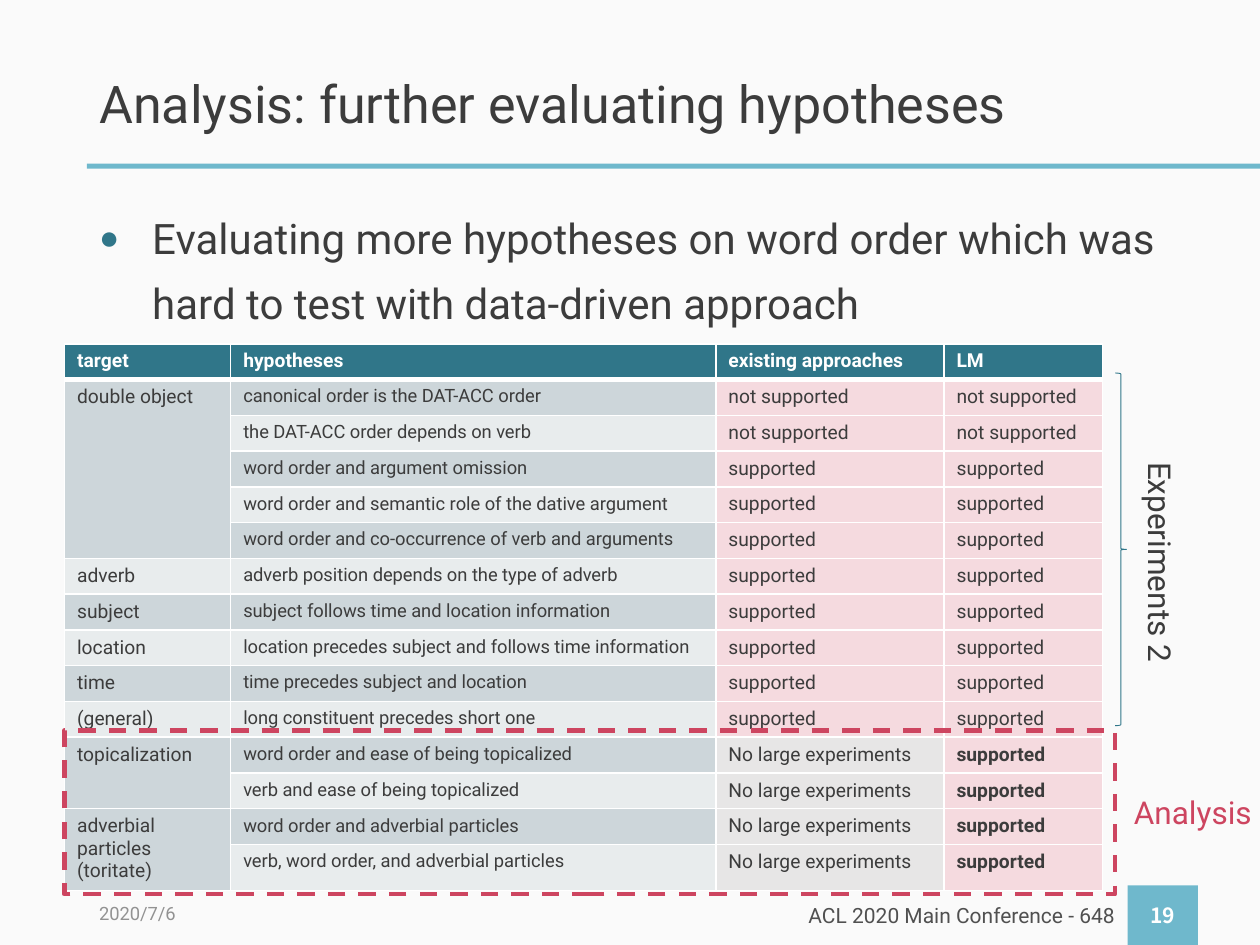
from lxml.etree import SubElement
from pptx import Presentation
from pptx.dml.color import RGBColor
from pptx.enum.dml import MSO_LINE
from pptx.enum.shapes import MSO_SHAPE
from pptx.enum.text import MSO_ANCHOR, MSO_AUTO_SIZE, PP_ALIGN
from pptx.oxml import parse_xml
from pptx.oxml.ns import nsdecls, qn
from pptx.util import Cm, Pt

INK, TEAL, SKY, RED, WHITE = "3C3C3C", "307689", "6FB8CC", "CD4560", "FFFFFF"
BANDS = ("E8ECED", "CDD6DA")
PINK, GREY = "F5DADF", "E7E6E6"

TITLE = "Analysis: further evaluating hypotheses"
BULLET = ("Evaluating more hypotheses on word order which was "
          "hard to test with data-driven approach")
HEADER = ("target", "hypotheses", "existing approaches", "LM")
NO, YES, UNTESTED = "not supported", "supported", "No large experiments"
# target, [(hypothesis, existing approaches, LM)]
TARGETS = [
    ("double object", [
        ("canonical order is the DAT-ACC order", NO, NO),
        ("the DAT-ACC order depends on verb", NO, NO),
        ("word order and argument omission", YES, YES),
        ("word order and semantic role of the dative argument", YES, YES),
        ("word order and co-occurrence of verb and arguments", YES, YES)]),
    ("adverb", [("adverb position depends on the type of adverb", YES, YES)]),
    ("subject", [("subject follows time and location information", YES, YES)]),
    ("location", [("location precedes subject and follows time information", YES, YES)]),
    ("time", [("time precedes subject and location", YES, YES)]),
    ("(general)", [("long constituent precedes short one", YES, YES)]),
    ("topicalization", [
        ("word order and ease of being topicalized", UNTESTED, YES),
        ("verb and ease of being topicalized", UNTESTED, YES)]),
    ("adverbial particles (toritate)", [
        ("word order and adverbial particles", UNTESTED, YES),
        ("verb, word order, and adverbial particles", UNTESTED, YES)]),
]
COLUMN_WIDTHS = (3.35, 9.78, 4.6, 3.2)
ROW_HEIGHT, LAST_ROW_HEIGHT = 0.72, 0.88


def rgb(color):
    return RGBColor.from_string(color)


def write(frame, text, size, color=INK, bold=False, font="Roboto",
          align=PP_ALIGN.LEFT, anchor=MSO_ANCHOR.MIDDLE, wrap=True,
          spacing=None, before=None):
    frame.word_wrap = wrap
    if not wrap:
        frame.auto_size = MSO_AUTO_SIZE.SHAPE_TO_FIT_TEXT
    frame.vertical_anchor = anchor
    paragraph = frame.paragraphs[0]
    paragraph.alignment = align
    paragraph.line_spacing = spacing
    if before is not None:
        paragraph.space_before = Pt(before)
    run = paragraph.add_run()
    run.text = text
    run.font.size, run.font.bold, run.font.name = Pt(size), bold, font
    run.font.color.rgb = rgb(color)
    for tag in ("a:ea", "a:cs"):
        SubElement(run.font._element, qn(tag), typeface=font)
    return paragraph


def add_text(slide, box, text, size, rotation=0, **fmt):
    label = slide.shapes.add_textbox(*map(Cm, box))
    label.rotation = rotation
    return write(label.text_frame, text, size, **fmt)


def add_shape(slide, kind, box, fill=None, line=None, width=1):
    shape = slide.shapes.add_shape(kind, *map(Cm, box))
    shape.shadow.inherit = False
    if fill:
        shape.fill.solid()
        shape.fill.fore_color.rgb = rgb(fill)
    else:
        shape.fill.background()
    if line:
        shape.line.color.rgb = rgb(line)
        shape.line.width = Pt(width)
    else:
        shape.line.fill.background()
    return shape


def add_bullet(paragraph, char, color, percent, indent):
    properties = paragraph._p.get_or_add_pPr()
    properties.set("marL", str(Cm(indent)))
    properties.set("indent", str(-Cm(indent)))
    bullet_color = SubElement(properties, qn("a:buClr"))
    SubElement(bullet_color, qn("a:srgbClr"), val=color)
    SubElement(properties, qn("a:buSzPct"), val=str(percent * 1000))
    SubElement(properties, qn("a:buFont"), typeface="Arial")
    SubElement(properties, qn("a:buChar"), char=char)


def style_cell(cell, fill, top=1, bottom=1):
    cell.fill.solid()
    cell.fill.fore_color.rgb = rgb(fill)
    properties = cell._tc.get_or_add_tcPr()
    sides = (("L", 1), ("R", 1), ("T", top), ("B", bottom))
    for place, (side, width) in enumerate(sides):
        properties.insert(place, parse_xml(
            f'<a:ln{side} {nsdecls("a")} w="{Pt(width)}"><a:solidFill>'
            f'<a:srgbClr val="{WHITE}"/></a:solidFill></a:ln{side}>'))


def add_hypotheses(slide, left, top):
    count = 1 + sum(len(hypotheses) for _, hypotheses in TARGETS)
    height = ROW_HEIGHT * (count - 1) + LAST_ROW_HEIGHT
    table = slide.shapes.add_table(
        count, len(HEADER), Cm(left), Cm(top),
        Cm(sum(COLUMN_WIDTHS)), Cm(height)).table
    for column, width in zip(table.columns, COLUMN_WIDTHS):
        column.width = Cm(width)
    for row in table.rows:
        row.height = Cm(ROW_HEIGHT)
    table.rows[count - 1].height = Cm(LAST_ROW_HEIGHT)

    def fill_cell(row, column, text, size=11, **fmt):
        write(table.cell(row, column).text_frame, text, size,
              anchor=MSO_ANCHOR.TOP, **fmt)

    for column, heading in enumerate(HEADER):
        style_cell(table.cell(0, column), TEAL, bottom=3)
        fill_cell(0, column, heading, color=WHITE, bold=True)
    row = 1
    for target, hypotheses in TARGETS:
        first = row
        for hypothesis, existing, model in hypotheses:
            untested = existing == UNTESTED
            band = BANDS[row % 2]
            fills = (band, band, GREY if untested else PINK, PINK)
            for column, fill in enumerate(fills):
                style_cell(table.cell(row, column), fill, top=3 if row == 1 else 1)
            fill_cell(row, 1, hypothesis, 10.5)
            fill_cell(row, 2, existing)
            fill_cell(row, 3, model, bold=untested)
            row += 1
        if row - first > 1:
            table.cell(first, 0).merge(table.cell(row - 1, 0))
        fill_cell(first, 0, target)


def main():
    deck = Presentation()
    deck.slide_width, deck.slide_height = Cm(25.4), Cm(19.05)
    slide = deck.slides.add_slide(deck.slide_layouts[6])
    slide.background.fill.solid()
    slide.background.fill.fore_color.rgb = rgb("FAFAFA")

    add_shape(slide, MSO_SHAPE.RECTANGLE, (1.75, 3.3, 23.65, 0.1), fill=SKY)
    add_text(slide, (1.75, 1.0, 21.9, 2.29), TITLE, 29.7, spacing=0.9)
    bullet = add_text(slide, (1.75, 3.85, 21.9, 13.67), BULLET, 24,
                      anchor=MSO_ANCHOR.TOP, spacing=1.3, before=15)
    add_bullet(bullet, "●", TEAL, 80, 1.07)

    add_text(slide, (1.75, 18.03, 5.72, 0.76), "2020/7/6", 10.5, color="929292")
    add_text(slide, (14.14, 18.07, 8.59, 0.76), "ACL 2020 Main Conference - 648",
             12, color="505050", align=PP_ALIGN.RIGHT)
    page = add_shape(slide, MSO_SHAPE.RECTANGLE, (22.73, 17.85, 1.42, 1.2), fill=SKY)
    write(page.text_frame, "19", 12, color=WHITE, bold=True,
          font="Noto Sans CJK JP", align=PP_ALIGN.CENTER)

    add_hypotheses(slide, 1.3, 6.93)

    add_shape(slide, MSO_SHAPE.RIGHT_BRACE, (22.48, 7.52, 0.23, 7.11),
              line=TEAL, width=0.5)
    side_label = dict(size=18, wrap=False, spacing=1.3, before=20)
    add_text(slide, (21.16, 10.82, 4.7, 1.19), "Experiments 2", rotation=90, **side_label)
    add_text(slide, (22.61, 15.65, 2.9, 1.19), "Analysis", color=RED, **side_label)
    analysis_frame = add_shape(slide, MSO_SHAPE.RECTANGLE, (1.3, 14.73, 21.18, 3.3),
                               line=RED, width=2.5)
    analysis_frame.line.dash_style = MSO_LINE.DASH

    deck.save("out.pptx")


if __name__ == "__main__":
    main()
